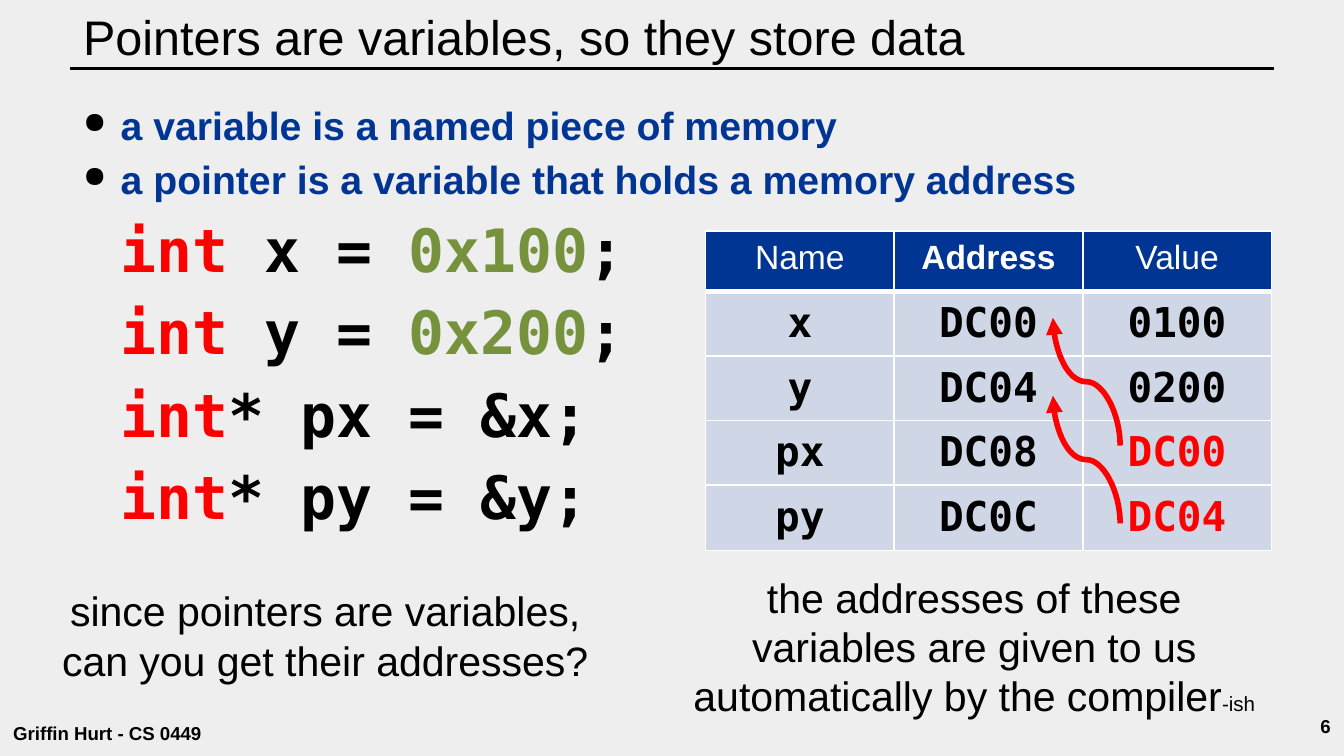
"""Build a slide that explains pointers as variables."""
from dataclasses import dataclass

from lxml import etree
from pptx import Presentation
from pptx.dml.color import RGBColor
from pptx.enum.shapes import MSO_CONNECTOR
from pptx.enum.text import MSO_ANCHOR, PP_ALIGN
from pptx.oxml.ns import qn
from pptx.util import Inches, Pt

STRAIGHT, CURVE = MSO_CONNECTOR.STRAIGHT, MSO_CONNECTOR.CURVE
LEFT, CENTER, RIGHT = PP_ALIGN.LEFT, PP_ALIGN.CENTER, PP_ALIGN.RIGHT
TOP, MIDDLE, BOTTOM = MSO_ANCHOR.TOP, MSO_ANCHOR.MIDDLE, MSO_ANCHOR.BOTTOM


@dataclass(frozen=True)
class Theme:
    """Colours, fonts and type sizes of the slide."""
    background: str = "EEEEEE"
    ink: str = "000000"
    white: str = "FFFFFF"
    blue: str = "003594"
    red: str = "FF0000"
    green: str = "76923C"
    cell: str = "CFD7E7"
    sans: str = "Arial"
    mono: str = "DejaVu Sans Mono"
    title: int = 26
    bullet: int = 21
    code: int = 32
    heading: int = 18
    text: int = 22
    aside: int = 11
    footer: int = 10


THEME = Theme()


def add_run(paragraph, text, size, color=THEME.ink, bold=False, name=THEME.sans):
    """Add one formatted run to a paragraph."""
    run = paragraph.add_run()
    run.text = text
    run.font.color.rgb = RGBColor.from_string(color)
    for key, value in {"size": Pt(size), "bold": bold, "name": name}.items():
        setattr(run.font, key, value)


def add_frame(slide, left, top, width, height, anchor=TOP, inset=0.05):
    """Add a wrapping text box and return its text frame."""
    box = slide.shapes.add_textbox(*map(Inches, (left, top, width, height)))
    settings = {"word_wrap": True, "vertical_anchor": anchor,
                "margin_top": Inches(inset), "margin_bottom": Inches(inset)}
    for key, value in settings.items():
        setattr(box.text_frame, key, value)
    return box.text_frame


def add_text(slide, box, runs, align=LEFT, **frame):
    """Add a text box with one paragraph of runs."""
    paragraph = add_frame(slide, *box, **frame).paragraphs[0]
    paragraph.alignment = align
    for run in runs:
        add_run(paragraph, **run)


def add_bullet(paragraph):
    """Give a paragraph a round black bullet."""
    properties = paragraph._p.get_or_add_pPr()
    color = etree.SubElement(properties, qn("a:buClr"))
    etree.SubElement(color, qn("a:srgbClr"), val=THEME.ink)
    etree.SubElement(properties, qn("a:buSzPct"), val="75000")
    etree.SubElement(properties, qn("a:buChar"), char="●")


def add_body(slide, bullets, code_lines):
    """Add the bullets and the indented code lines."""
    frame = add_frame(slide, 0.52, 0.65, 8.96, 4.34)
    for index, content in enumerate(bullets + code_lines):
        paragraph = frame.paragraphs[0] if index == 0 else frame.add_paragraph()
        level = int(index >= len(bullets))
        properties = paragraph._p.get_or_add_pPr()
        properties.set("marL", str(Inches(0.28 * (level + 1))))
        properties.set("indent", str(Inches(-0.28)))
        paragraph.level = level
        paragraph.line_spacing = 1.15
        if level:
            for text, color in content:
                add_run(paragraph, text, THEME.code, color, True, THEME.mono)
        else:
            add_bullet(paragraph)
            add_run(paragraph, content, THEME.bullet, THEME.blue, True)


def style_cell(cell, color, widths):
    """Set white borders, the fill and the margins of a cell."""
    properties = cell._tc.get_or_add_tcPr()
    for side in "LRTB":
        width = str(Pt(widths.get(side, 1)))
        line = etree.SubElement(properties, qn(f"a:ln{side}"), w=width)
        fill = etree.SubElement(line, qn("a:solidFill"))
        etree.SubElement(fill, qn("a:srgbClr"), val=THEME.white)
    cell.fill.solid()
    cell.fill.fore_color.rgb = RGBColor.from_string(color)
    margins = {"margin_left": 0.12, "margin_right": 0.12,
               "margin_top": 0.06, "margin_bottom": 0.06}
    for key, value in margins.items():
        setattr(cell, key, Inches(value))


def add_memory_table(slide, top, rows):
    """Add a table of memory rows, with a header where one is given."""
    heights = [0.45 if row[0] == "Name" else 0.48 for row in rows]
    box = map(Inches, (5.25, top, 4.21, sum(heights)))
    table = slide.shapes.add_table(len(rows), 3, *box).table
    table.first_row = table.horz_banding = False
    for column in table.columns:
        column.width = Inches(4.21 / 3)
    for index, (values, height) in enumerate(zip(rows, heights)):
        table.rows[index].height = Inches(height)
        header = values[0] == "Name"
        for column, value in enumerate(values):
            cell = table.cell(index, column)
            widths = {"B": 3} if header else {"T": 3} if index else {}
            style_cell(cell, THEME.blue if header else THEME.cell, widths)
            paragraph = cell.text_frame.paragraphs[0]
            paragraph.alignment = CENTER
            if header:
                add_run(paragraph, value, THEME.heading, THEME.white, column == 1)
            else:
                pointer = column == 2 and values[0].startswith("p")
                color = THEME.red if pointer else THEME.ink
                add_run(paragraph, value, THEME.text, color, True, THEME.mono)


def add_line(slide, kind, start, end, color, width):
    """Add a connector without shadow."""
    points = map(Inches, (*start, *end))
    connector = slide.shapes.add_connector(kind, *points)
    connector.line.color.rgb = RGBColor.from_string(color)
    connector.line.width = Pt(width)
    etree.SubElement(connector._element.spPr, qn("a:effectLst"))
    return connector


def add_pointer_arrow(slide, top):
    """Add a curved arrow that rises from a value to an address."""
    connector = add_line(slide, CURVE, (8.56, top), (7.61, top + 0.5), THEME.red, 3)
    connector._element.spPr.find(qn("a:xfrm")).set("rot", "5400000")
    line = connector.line._get_or_add_ln()
    etree.SubElement(line, qn("a:tailEnd"), type="triangle")


def main():
    """Build and save the slide."""
    presentation = Presentation()
    presentation.slide_width = Inches(10)
    presentation.slide_height = Inches(10 * 9 / 16)
    slide = presentation.slides.add_slide(presentation.slide_layouts[6])
    slide.background.fill.solid()
    slide.background.fill.fore_color.rgb = RGBColor.from_string(THEME.background)

    add_line(slide, STRAIGHT, (0.52, 0.51), (9.48, 0.51), THEME.ink, 1.5)
    title = {"text": "Pointers are variables, so they store data", "size": THEME.title}
    add_text(slide, (0.52, 0.01, 8.96, 0.51), [title], anchor=MIDDLE)

    bullets = ["a variable is a named piece of memory",
               "a pointer is a variable that holds a memory address"]
    keyword = ("int", THEME.red)
    code_lines = [[keyword, (f" {name} = ", THEME.ink), (value, THEME.green),
                   (";", THEME.ink)] for name, value in (("x", "0x100"), ("y", "0x200"))]
    code_lines += [[keyword, (f"* p{name} = &{name};", THEME.ink)] for name in "xy"]
    add_body(slide, bullets, code_lines)

    add_memory_table(slide, 1.72, [("Name", "Address", "Value"), ("x", "DC00", "0100")])
    rows = [("y", "DC04", "0200"), ("px", "DC08", "DC00"), ("py", "DC0C", "DC04")]
    for index, row in enumerate(rows):
        add_memory_table(slide, 2.65 + 0.48 * index, [row])
    for top in (3.17, 2.59):
        add_pointer_arrow(slide, top)

    remark = {"text": "the addresses of these variables are given to us "
                      "automatically by the compiler", "size": THEME.text}
    aside = {"text": "-ish", "size": THEME.aside}
    add_text(slide, (5, 4.21, 4.5, 1.21), [remark, aside], CENTER)
    question = {"text": "since pointers are variables, can you get their addresses?",
                "size": THEME.text}
    add_text(slide, (0.17, 4.31, 4.5, 0.84), [question], CENTER)

    footer = {"size": THEME.footer, "bold": True}
    add_text(slide, (9.4, 5.19, 0.6, 0.43), [{"text": "6", **footer}], RIGHT, anchor=MIDDLE)
    add_text(slide, (0, 5.19, 2.18, 0.43), [{"text": "Griffin Hurt - CS 0449", **footer}],
             anchor=BOTTOM, inset=0.1)
    presentation.save("out.pptx")


if __name__ == "__main__":
    main()
